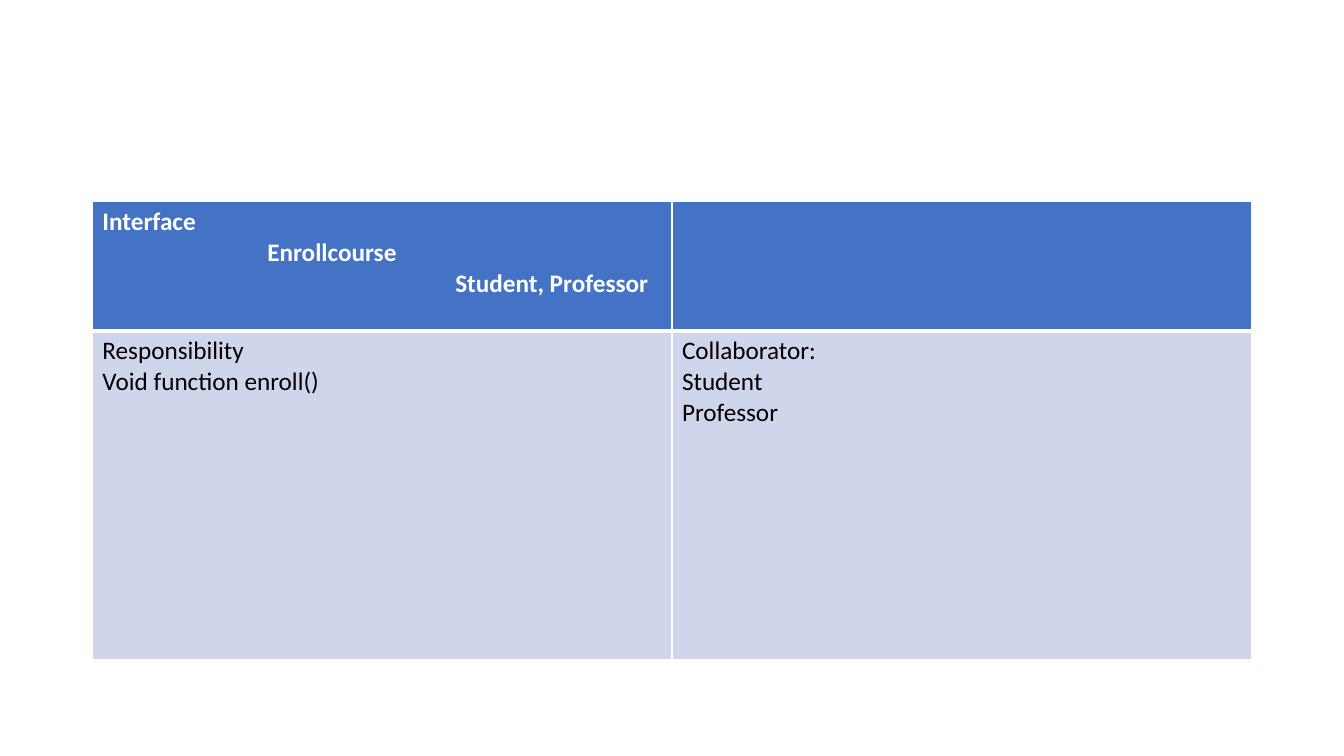
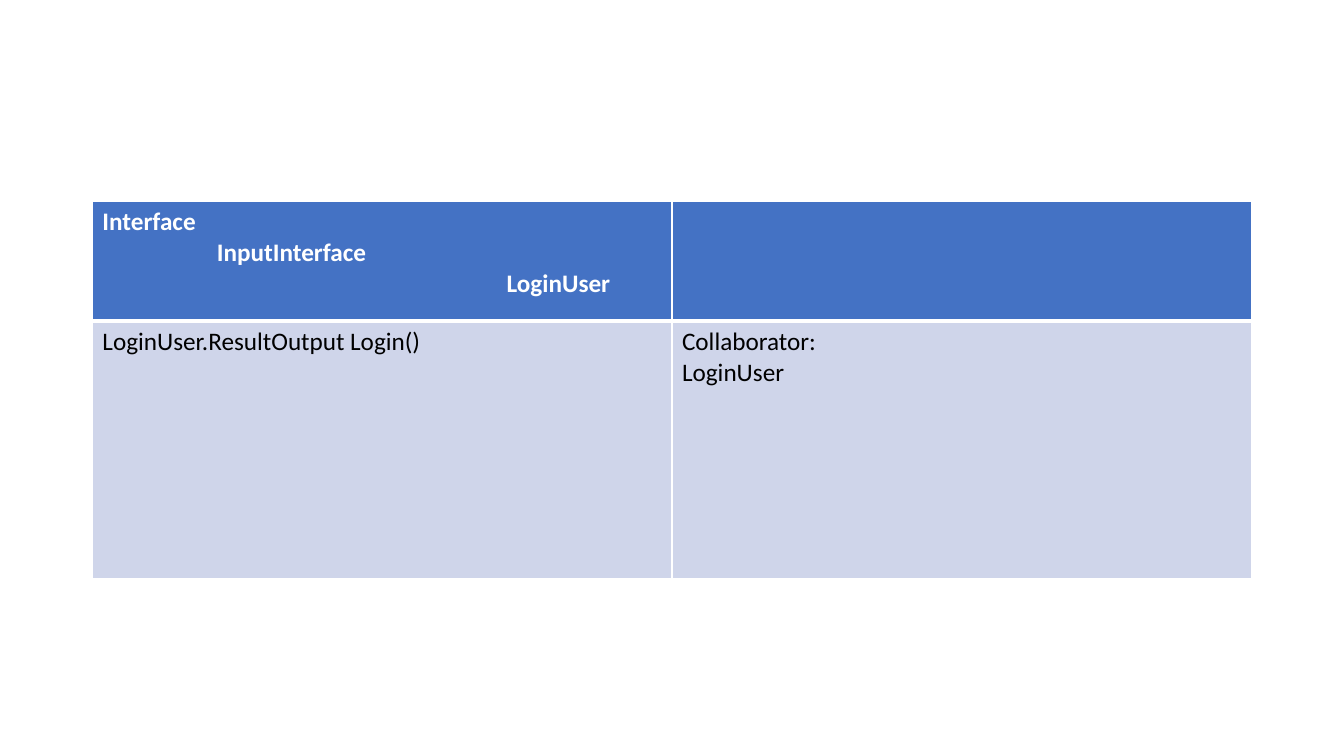
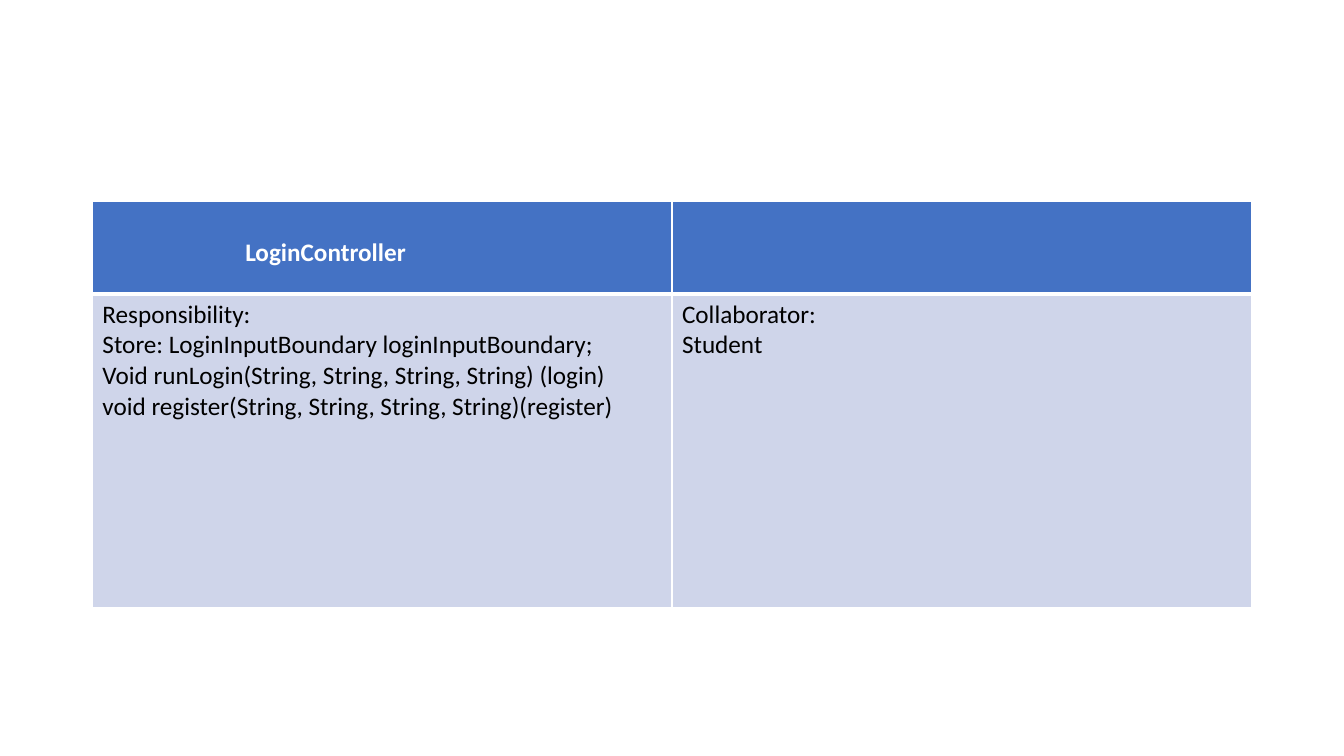
import pptx
import pptx.util
import pptx.dml.color
import pptx.oxml
import pptx.oxml.ns

PX = 9525  # EMU in one px, 96 px to the inch


def px(n):
    return pptx.util.Emu(n * PX)


def color(value):
    return pptx.dml.color.RGBColor.from_string(value)


def add_text(tf, text, first=False, indent=0, **font):
    """Write one paragraph, indented by whole px, with the given font."""
    p = tf.paragraphs[0] if first else tf.add_paragraph()
    if indent:
        p._p.get_or_add_pPr().set("marL", str(px(indent)))
    r = p.add_run()
    r.text = text
    r.font.name = font["name"]
    r.font.size = pptx.util.Pt(font["size"])
    r.font.bold = font["bold"]
    r.font.color.rgb = color(font["color"])


class Deck:
    # Shared style
    FONT, SIZE = "Calibri", 18
    WHITE, BLACK = "FFFFFF", "000000"
    HEADER, BODY = "4472C4", "CFD5EA"
    LEFT, TOP, COL_W = 88, 192, 552
    THIN, THICK = 1, 3

    def __init__(self):
        self.prs = pptx.Presentation()
        self.prs.slide_width, self.prs.slide_height = px(1280), px(720)
        self.s = None

    def slide(self):
        self.s = self.prs.slides.add_slide(self.prs.slide_layouts[6])

    def borders(self, cell, **widths):
        """Draw white cell borders; widths in points, keyed L, R, T, B."""
        tcPr = cell._tc.get_or_add_tcPr()
        for i, side in enumerate("LRTB"):
            width = pptx.util.Pt(widths.get(side, self.THIN))
            tcPr.insert(i, pptx.oxml.parse_xml(
                f'<a:ln{side} {pptx.oxml.ns.nsdecls("a")} w="{width}">'
                f'<a:solidFill><a:srgbClr val="{self.WHITE}"/></a:solidFill>'
                f'</a:ln{side}>'))

    def cell(self, cell, lines, fill, text_color, bold, **widths):
        """Fill a cell; each line is an (indent, text) pair."""
        cell.fill.solid()
        cell.fill.fore_color.rgb = color(fill)
        for i, (indent, text) in enumerate(lines):
            add_text(cell.text_frame, text, first=i == 0, indent=indent,
                     name=self.FONT, size=self.SIZE, bold=bold,
                     color=text_color)
        self.borders(cell, **widths)

    def card(self, heights, header, duties, collaborators, header_top=5):
        """Add a class card: header row above duties and collaborators."""
        table = self.s.shapes.add_table(
            2, 2, px(self.LEFT), px(self.TOP),
            px(2 * self.COL_W), px(sum(heights))).table
        for row, height in zip(table.rows, heights):
            row.height = px(height)
        for col in table.columns:
            col.width = px(self.COL_W)
        for i, lines in enumerate((header, [])):
            self.cell(table.cell(0, i), lines, self.HEADER, self.WHITE, True,
                      B=self.THICK)
        table.cell(0, 0).margin_top = px(header_top)
        for i, texts in enumerate((duties, ["Collaborator:"] + collaborators)):
            self.cell(table.cell(1, i), [(0, text) for text in texts],
                      self.BODY, self.BLACK, False, T=self.THICK)


def main():
    deck = Deck()

    # Enrollment interface
    deck.slide()
    deck.card((123, 313),
              [(0, "Interface"), (157, "Enrollcourse"),
               (336, "Student, Professor")],
              ["Responsibility", "Void function enroll()"],
              ["Student", "Professor"])

    # Login input interface
    deck.slide()
    deck.card((114, 245),
              [(0, "Interface"), (109, "InputInterface"), (385, "LoginUser")],
              ["LoginUser.ResultOutput Login()"],
              ["LoginUser"])

    # Login controller, its name one line lower
    deck.slide()
    deck.card((88, 299),
              [(136, "LoginController")],
              ["Responsibility:",
               "Store: LoginInputBoundary loginInputBoundary;",
               "Void runLogin(String, String, String, String) (login)",
               "void register(String, String, String, String)(register)"],
              ["Student"], header_top=34)

    deck.prs.save("out.pptx")


if __name__ == "__main__":
    main()
